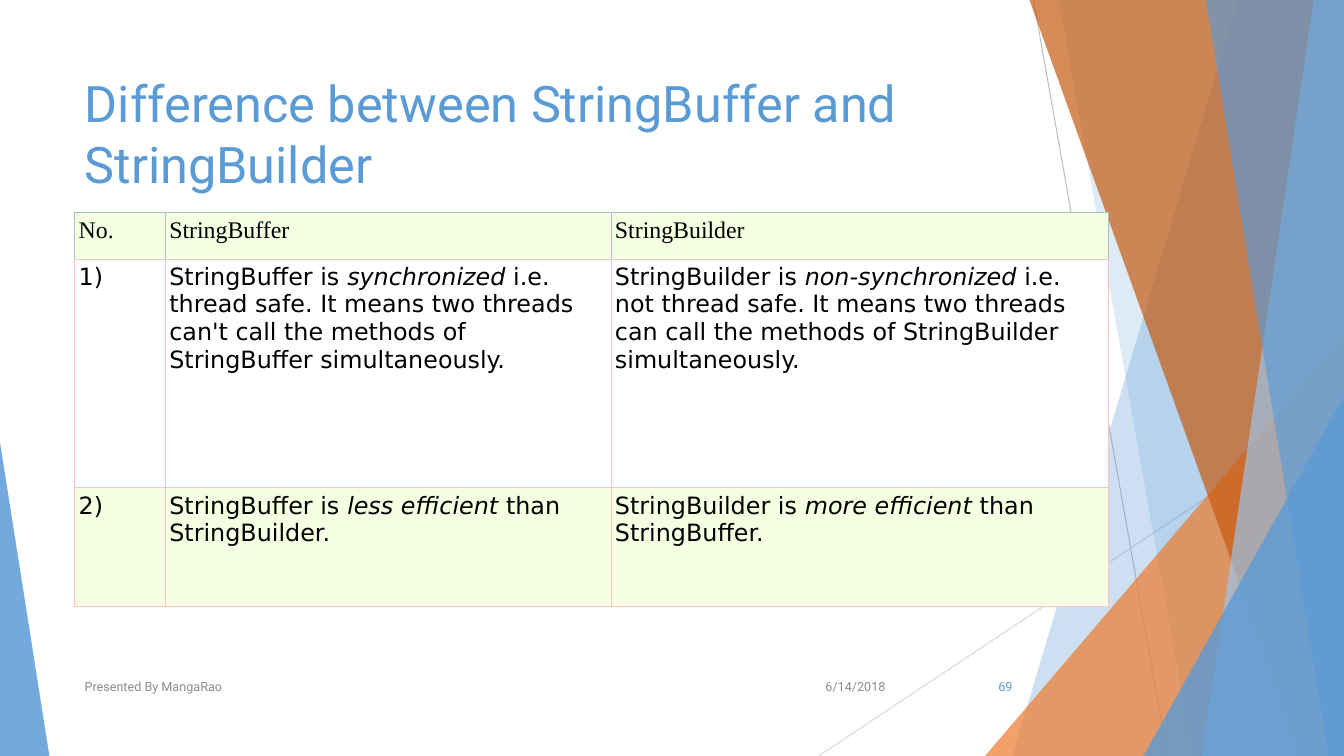
from dataclasses import dataclass

from lxml.etree import SubElement
from pptx import Presentation
from pptx.dml.color import RGBColor
from pptx.enum.shapes import MSO_CONNECTOR as Connector, MSO_SHAPE as Shape
from pptx.enum.text import MSO_ANCHOR as Anchor, MSO_AUTO_SIZE as AutoSize, PP_ALIGN as Align
from pptx.oxml.ns import qn
from pptx.util import Inches, Pt


@dataclass(frozen=True)
class Theme:
    blue: str = "5B9BD5"
    light_blue: str = "9DC3E6"
    orange: str = "ED7D31"
    dark_orange: str = "C55A11"
    gray: str = "8C8C8C"
    black: str = "000000"
    white: str = "FFFFFF"
    pale_green: str = "F6FFE1"
    pink: str = "FFC0CB"
    header_border: str = "A8C3C8"
    heading_font: str = "Roboto"
    header_font: str = "Times New Roman"
    body_font: str = "DejaVu Sans"
    title_size: int = 36
    table_size: int = 17
    footer_size: int = 9


theme = Theme()


def style_runs(paragraph, name, size, color):
    for run in paragraph.runs:
        run.font.name = name
        run.font.size = Pt(size)
        run.font.color.rgb = RGBColor.from_string(color)


def fill_shape(shape, color, opacity):
    shape.shadow.inherit = False
    shape.line.fill.background()
    shape.fill.solid()
    shape.fill.fore_color.rgb = RGBColor.from_string(color)
    color_element = shape.element.spPr.find(qn("a:solidFill"))[0]
    SubElement(color_element, qn("a:alpha"), val=str(opacity * 1000))


presentation = Presentation()
presentation.slide_width = Inches(13.33)
presentation.slide_height = Inches(7.5)
slide = presentation.slides.add_slide(presentation.slide_layouts[5])
shapes = slide.shapes
right, bottom = Inches(13.33), Inches(7.5)

thin_lines = [
    (10.25, 0, 11.58, 7.5, "BFBFBF"),
    (13.33, 4.03, 8.12, 7.5, "D9D9D9"),
]
for x1, y1, x2, y2, color in thin_lines:
    connector = shapes.add_connector(
        Connector.STRAIGHT, Inches(x1), Inches(y1), Inches(x2), Inches(y2)
    )
    connector.line.color.rgb = RGBColor.from_string(color)
    connector.line.width = Pt(0.75)
    SubElement(connector.element.spPr, qn("a:effectLst"))

facets = [
    ("band", (12.28, 10.04), theme.blue, 30),
    ("band", (10.5, 11.83), theme.blue, 20),
    ("triangle", (9.77, 3.33, 3.56, 1), theme.orange, 72),
    ("band", (10.21, 12.91), theme.dark_orange, 70),
    ("band", (13.03, 11.92), theme.light_blue, 70),
    ("band", (11.96, 13.18), theme.blue, 65),
    ("triangle", (11.34, 3.93, 1.99, 1), theme.blue, 80),
    ("triangle", (0, 4.39, 0.49, 0), theme.blue, 85),
]
for kind, geometry, color, opacity in facets:
    if kind == "band":
        top_x, bottom_x = geometry
        builder = shapes.build_freeform(Inches(top_x), 0)
        builder.add_line_segments([(right, 0), (right, bottom), (Inches(bottom_x), bottom)])
        facet = builder.convert_to_shape()
    else:
        left, top, width, apex = geometry
        facet = shapes.add_shape(
            Shape.ISOSCELES_TRIANGLE, Inches(left), Inches(top), Inches(width), bottom - Inches(top)
        )
        facet.adjustments[0] = apex
    fill_shape(facet, color, opacity)

title = shapes.title
title.element.getparent().append(title.element)
title.left, title.top = Inches(0.74), Inches(0.67)
title.width, title.height = Inches(9.4), Inches(1.44)
title.text_frame.text = "Difference between StringBuffer and StringBuilder"
title.text_frame.word_wrap = True
title.text_frame.auto_size = AutoSize.NONE
title.text_frame.vertical_anchor = Anchor.TOP
title.text_frame.paragraphs[0].alignment = Align.LEFT
style_runs(title.text_frame.paragraphs[0], theme.heading_font, theme.title_size, theme.blue)

column_widths = [0.9, 4.42, 4.93]
row_heights = [0.46, 2.27, 1.18]
rows = [
    [["No."], ["StringBuffer"], ["StringBuilder"]],
    [
        ["1)"],
        ["StringBuffer is ", "synchronized", " i.e. thread safe. It means two threads can't "
         "call the methods of StringBuffer simultaneously."],
        ["StringBuilder is ", "non-synchronized", " i.e. not thread safe. It means two threads "
         "can call the methods of StringBuilder simultaneously."],
    ],
    [
        ["2)"],
        ["StringBuffer is ", "less efficient", " than StringBuilder."],
        ["StringBuilder is ", "more efficient", " than StringBuffer."],
    ],
]
table = shapes.add_table(
    len(rows), len(column_widths), Inches(0.74), Inches(2.11),
    Inches(sum(column_widths)), Inches(sum(row_heights)),
).table
for column, width in zip(table.columns, column_widths):
    column.width = Inches(width)
for row, height in zip(table.rows, row_heights):
    row.height = Inches(height)

for row_index, row in enumerate(rows):
    is_header = row_index == 0
    font_name = theme.header_font if is_header else theme.body_font
    fill_color = theme.white if row_index == 1 else theme.pale_green
    for column_index, pieces in enumerate(row):
        cell = table.cell(row_index, column_index)
        cell.margin_left = cell.margin_right = Inches(0.04)
        cell.margin_top = cell.margin_bottom = Inches(0.04)
        paragraph = cell.text_frame.paragraphs[0]
        for piece_index, piece in enumerate(pieces):
            run = paragraph.add_run()
            run.text = piece
            run.font.bold = False
            run.font.italic = piece_index == 1
        style_runs(paragraph, font_name, theme.table_size, theme.black)
        properties = cell._tc.get_or_add_tcPr()
        for side in ("lnL", "lnR", "lnT", "lnB"):
            border_color = theme.header_border if is_header and side != "lnB" else theme.pink
            border = SubElement(properties, qn(f"a:{side}"), w=str(Pt(0.6)))
            border_fill = SubElement(border, qn("a:solidFill"))
            SubElement(border_fill, qn("a:srgbClr"), val=border_color)
        cell.fill.solid()
        cell.fill.fore_color.rgb = RGBColor.from_string(fill_color)

footers = [
    ("6/14/2018", 7.88, 1, Align.RIGHT, theme.gray),
    ("Presented By MangaRao", 0.74, 6.89, Align.LEFT, theme.gray),
    ("69", 9.39, 0.75, Align.RIGHT, theme.blue),
]
for text, left, width, alignment, color in footers:
    text_frame = shapes.add_textbox(
        Inches(left), Inches(6.61), Inches(width), Inches(0.4)
    ).text_frame
    text_frame.text = text
    text_frame.word_wrap = True
    text_frame.vertical_anchor = Anchor.MIDDLE
    text_frame.paragraphs[0].alignment = alignment
    style_runs(text_frame.paragraphs[0], theme.heading_font, theme.footer_size, color)

presentation.save("out.pptx")
